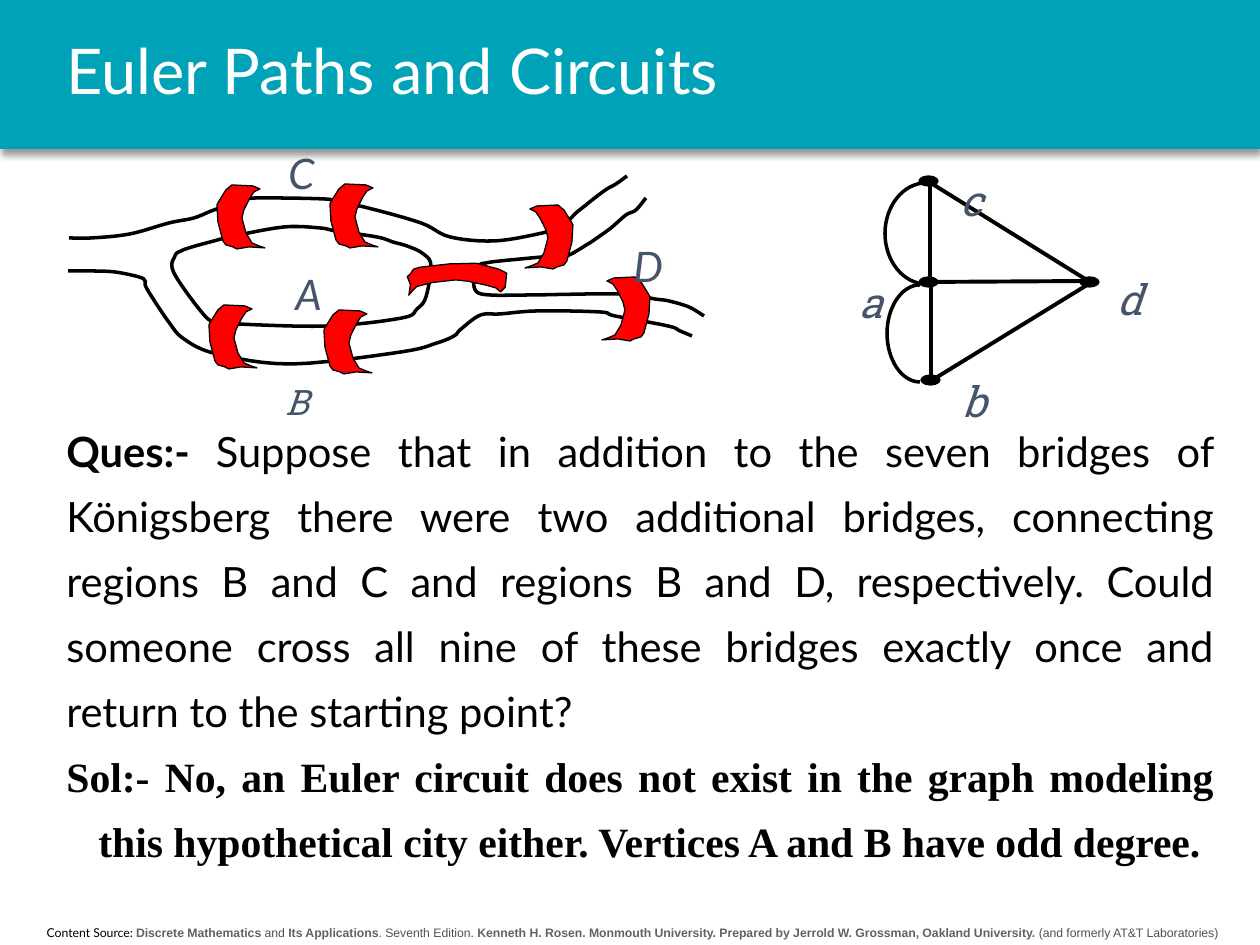
from math import cos, pi, sin

from lxml.etree import SubElement
from pptx import Presentation
from pptx.dml.color import RGBColor
from pptx.enum.shapes import MSO_CONNECTOR as Connector, MSO_SHAPE as Shape
from pptx.enum.text import MSO_ANCHOR as Anchor, MSO_AUTO_SIZE as AutoSize, PP_ALIGN as Align
from pptx.oxml.ns import qn
from pptx.util import Emu, Pt

EMU_PER_PX = 914400 / 126
COLORS = {"teal": "00A2B8", "white": "FFFFFF", "black": "000000", "bridge": "FF0000",
          "label": "44546A", "strong": "5F6368", "soft": "4D5156"}

NORTH_BANK = [(69, 238), (92, 238), (130, 234), (169, 223), (194, 218), (214, 210), (244, 200),
              (261, 198), (324, 199), (338, 202), (368, 208), (421, 223), (450, 237), (494, 241),
              (538, 234), (557, 228), (568, 221), (576, 213), (586, 205), (596, 197), (607, 189),
              (616, 184), (627, 176)]
ISLAND = [(181, 251), (192, 247), (214, 241), (234, 236), (284, 227), (320, 228), (336, 231),
          (377, 237), (393, 242), (407, 246), (422, 253), (431, 265), (426, 297), (417, 309),
          (402, 318), (328, 326), (238, 324), (218, 321), (205, 316), (174, 273), (175, 256)]
SOUTH_BANK = [(68, 271), (91, 271), (115, 272), (139, 277), (145, 281), (147, 289), (168, 321),
              (184, 339), (217, 354), (292, 364), (401, 352), (437, 343), (454, 336), (460, 330),
              (475, 318), (485, 314), (500, 314), (537, 311), (600, 312), (615, 316), (668, 326),
              (680, 331), (692, 336)]
EAST_BANK = [(646, 198), (636, 210), (626, 215), (611, 228), (597, 238), (588, 244), (567, 256),
             (554, 256), (500, 261), (486, 263), (480, 265), (474, 277), (476, 291), (490, 295),
             (530, 295), (621, 294), (655, 299), (669, 301), (689, 307), (704, 316)]

BRIDGE_SIZE = (48, 65)
BRIDGE_OUTLINE = [(15, 1), (9, 6), (4, 14), (1, 19), (0, 21), (1, 38), (6, 57), (9, 61), (16, 63),
                  (20, 65), (32, 63), (48, 64), (42, 62), (35, 59), (29, 49), (25, 34), (27, 26),
                  (30, 20), (33, 14), (37, 8), (43, 5), (36, 2)]
# left, top, width, height, mirrored, rotation
BRIDGES = [(217, 184, 48, 65, False, 0), (330, 183, 48, 65, False, 0),
           (209, 304, 48, 65, False, 0), (324, 309, 48, 65, False, 0),
           (441, 228, 32, 101, False, 90),
           (525, 204, 48, 65, True, 0), (602, 276, 48, 65, True, 0)]
# text, left, top, width, size, font
REGION_LABELS = [("A", 283, 262, 56, 24, "Lato"), ("B", 273, 374, 54, 20, "Roboto Slab"),
                 ("C", 276, 141, 54, 24, "Lato"), ("D", 621, 234, 56, 24, "Lato")]
VERTEX_LABELS = [("a", 847, 270, 52, 24, "Roboto Slab"), ("b", 950, 369, 50, 24, "Roboto Slab"),
                 ("c", 948, 168, 45, 24, "Roboto Slab"), ("d", 1105, 267, 53, 24, "Roboto Slab")]
VERTICES = [(919, 176), (919, 277), (1080, 277), (921, 375)]
EDGES = [(926, 180, 1090, 282), (927, 282, 1092, 281), (931, 379, 931, 281),
         (930, 278, 930, 180), (1092, 282, 934, 379)]
# x and y of the open end, then horizontal and vertical reach
ARCS = [(926, 183, 41, 51), (926, 284, 41, -51), (920, 285, 33, 49), (920, 382, 33, -49)]


def px(value):
    return Emu(round(value * EMU_PER_PX))


def color(name):
    return RGBColor.from_string(COLORS[name])


def paint(shape, fill=None, line=None, weight=1):
    shape.shadow.inherit = False
    if fill:
        shape.fill.solid()
        shape.fill.fore_color.rgb = color(fill)
    else:
        shape.fill.background()
    if line:
        shape.line.color.rgb = color(line)
        shape.line.width = Pt(weight)
    else:
        shape.line.fill.background()


def smooth(points, closed=False):
    """Sample a Catmull-Rom curve through the points."""
    count = len(points)

    def at(index):
        return points[index % count] if closed else points[min(max(index, 0), count - 1)]

    curve = [points[0]]
    for i in range(count if closed else count - 1):
        corners = list(zip(at(i - 1), at(i), at(i + 1), at(i + 2)))
        for step in range(1, 7):
            t = step / 6
            curve.append(tuple(
                (2 * b + (c - a) * t + (2 * a - 5 * b + 4 * c - d) * t ** 2
                 + (3 * b - a - 3 * c + d) * t ** 3) / 2 for a, b, c, d in corners))
    return curve


def add_outline(shapes, points, closed=False, **style):
    (start_x, start_y), *rest = [(px(x), px(y)) for x, y in points]
    builder = shapes.build_freeform(start_x, start_y, scale=1.0)
    builder.add_line_segments(rest, close=closed)
    shape = builder.convert_to_shape()
    paint(shape, line="black", **style)
    return shape


def add_bridge(shapes, left, top, width, height, mirrored, rotation):
    base_width, base_height = BRIDGE_SIZE
    points = [(left + (base_width - x if mirrored else x) * width / base_width,
               top + y * height / base_height) for x, y in BRIDGE_OUTLINE]
    shape = add_outline(shapes, points, closed=True, fill="bridge", weight=0.75)
    shape.rotation = rotation


def add_arc(shapes, x, y, reach_x, reach_y):
    """Draw a quarter ellipse that runs left from its open end."""
    angles = [pi / 2 * step / 16 for step in range(17)]
    add_outline(shapes, [(x - reach_x * sin(a), y + reach_y * (1 - cos(a))) for a in angles],
                weight=2)


def add_edge(shapes, x1, y1, x2, y2):
    edge = shapes.add_connector(Connector.STRAIGHT, px(x1), px(y1), px(x2), px(y2))
    edge.line.color.rgb = color("black")
    edge.line.width = Pt(2.25)
    SubElement(edge._element.spPr, qn("a:effectLst"))


def add_vertex(shapes, left, top):
    vertex = shapes.add_shape(Shape.OVAL, px(left), px(top), px(19), px(10))
    paint(vertex, fill="black", line="black", weight=0.75)


def add_text(shapes, box, paragraphs, frame_format=None):
    """Each paragraph is a dict of format values and a list of (text, font values, colour)."""
    frame = shapes.add_textbox(*map(px, box)).text_frame
    for name, value in {"word_wrap": True, **(frame_format or {})}.items():
        setattr(frame, name, value)
    for index, (paragraph_format, runs) in enumerate(paragraphs):
        paragraph = frame.add_paragraph() if index else frame.paragraphs[0]
        for name, value in paragraph_format.items():
            setattr(paragraph, name, value)
        for text, font_format, color_name in runs:
            run = paragraph.add_run()
            run.text = text
            for name, value in font_format.items():
                setattr(run.font, name, value)
            run.font.color.rgb = color(color_name)
    return frame


def add_label(shapes, text, left, top, width, size, font):
    add_text(shapes, (left, top, width, 40),
             [({}, [(text, {"name": font, "size": Pt(size), "italic": True}, "label")])],
             {"word_wrap": False, "auto_size": AutoSize.SHAPE_TO_FIT_TEXT})


def add_header(shapes):
    band = shapes.add_shape(Shape.RECTANGLE, 0, 0, px(1260), px(149))
    paint(band, fill="teal")
    effects = band._element.spPr.find(qn("a:effectLst"))
    shadow = SubElement(effects, qn("a:outerShdw"), blurRad=str(Pt(4)), dist=str(Pt(3)),
                        dir="5400000", algn="t", rotWithShape="0")
    shade = SubElement(shadow, qn("a:srgbClr"), val=COLORS["black"])
    SubElement(shade, qn("a:alpha"), val="40000")
    title = ("Euler Paths and Circuits", {"name": "Lato", "size": Pt(36)}, "white")
    add_text(shapes, (54, 0, 1172, 149), [({"line_spacing": 0.9}, [title])],
             {"vertical_anchor": Anchor.MIDDLE})


def add_question(shapes):
    lato = {"name": "Lato", "size": Pt(23.8)}
    times = {"name": "Times New Roman", "size": Pt(23.8), "bold": True}
    layout = {"alignment": Align.JUSTIFY, "line_spacing": 1.3}
    question = [
        ("Ques:- ", {**lato, "bold": True}, "black"),
        ("Suppose that in addition to the seven bridges of Königsberg there were two additional "
         "bridges, connecting regions B and C and regions B and D, respectively. Could someone "
         "cross all nine of these bridges exactly once and return to the starting point?",
         lato, "black")]
    answer = [("Sol:- No, an Euler circuit does not exist in the graph modeling this hypothetical "
               "city either. Vertices A and B have odd degree.", times, "black")]
    frame = add_text(shapes, (54, 405, 1172, 503), [(layout, question), (layout, answer)])
    hanging = frame.paragraphs[1]._p.get_or_add_pPr()
    hanging.set("marL", str(px(32)))
    hanging.set("indent", str(-px(32)))


def add_source_line(shapes):
    arial = {"name": "Arial", "size": Pt(7)}
    strong = {**arial, "bold": True}
    runs = [("Content Source: ", {"name": "Lato", "size": Pt(7)}, "black"),
            ("Discrete Mathematics", strong, "strong"), (" and ", arial, "soft"),
            ("Its Applications", strong, "strong"), (". Seventh Edition. ", arial, "soft"),
            ("Kenneth H. Rosen. Monmouth University. Prepared by Jerrold W. Grossman, "
             "Oakland University.", strong, "strong"),
            (" (and formerly AT&T Laboratories)", arial, "soft")]
    add_text(shapes, (5, 919, 1255, 28), [({"alignment": Align.CENTER}, runs)])


def add_river_map(shapes):
    for bank in (NORTH_BANK, ISLAND, SOUTH_BANK, EAST_BANK):
        closed = bank is ISLAND
        add_outline(shapes, smooth(bank, closed), closed=closed, weight=2)
    for bridge in BRIDGES:
        add_bridge(shapes, *bridge)
    for label in REGION_LABELS:
        add_label(shapes, *label)


def add_multigraph(shapes):
    for add, items in ((add_edge, EDGES), (add_vertex, VERTICES), (add_arc, ARCS),
                       (add_label, VERTEX_LABELS)):
        for item in items:
            add(shapes, *item)


def main():
    presentation = Presentation()
    presentation.slide_width, presentation.slide_height = px(1260), px(945)
    slide = presentation.slides.add_slide(presentation.slide_layouts[6])
    add_header(slide.shapes)
    add_source_line(slide.shapes)
    add_question(slide.shapes)
    add_river_map(slide.shapes.add_group_shape().shapes)
    add_multigraph(slide.shapes.add_group_shape().shapes)
    presentation.save("out.pptx")


if __name__ == "__main__":
    main()
